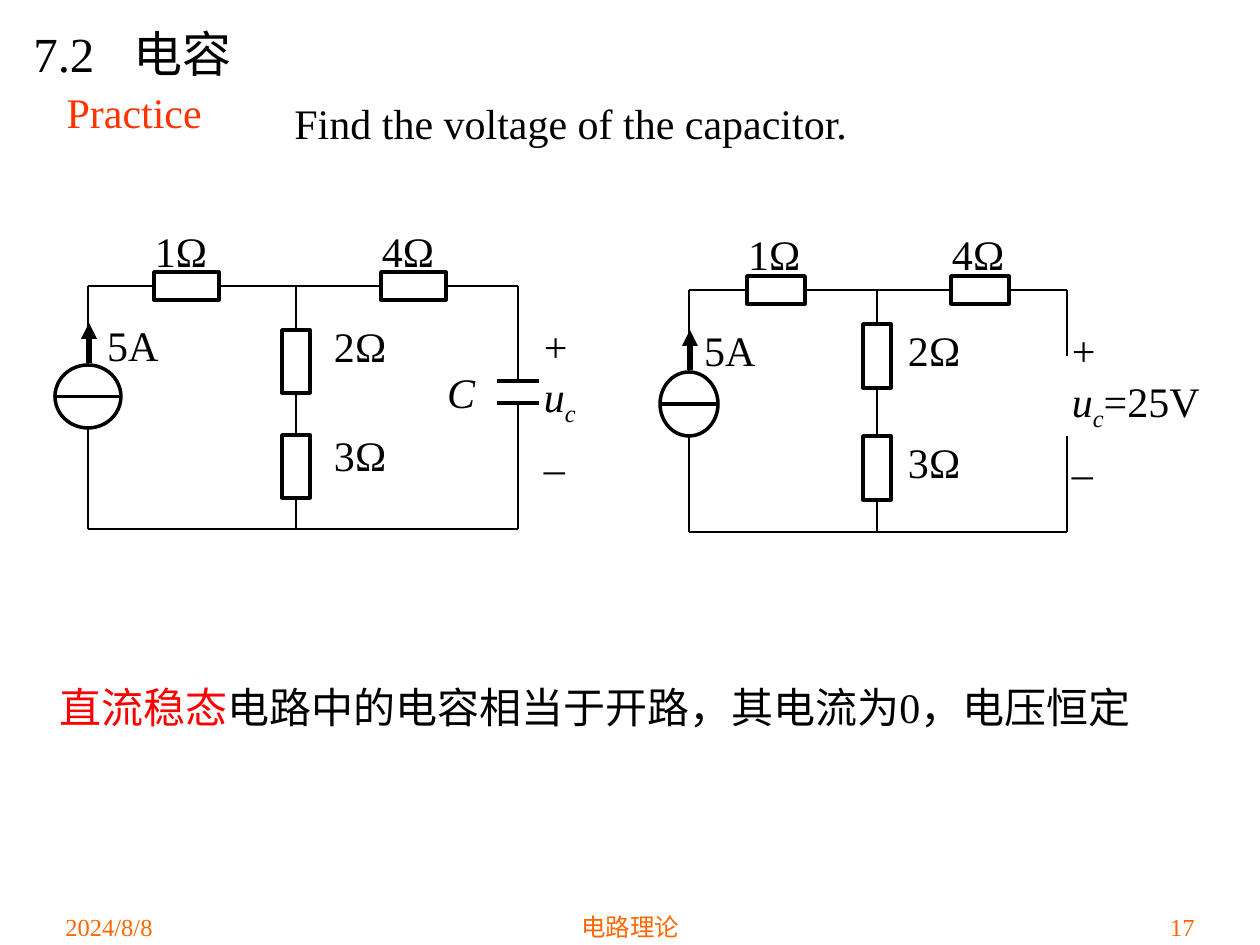
"""Build the capacitor practice slide with its two circuit diagrams."""
from lxml import etree
from pptx import Presentation
from pptx.dml.color import RGBColor
from pptx.enum.shapes import MSO_CONNECTOR, MSO_SHAPE
from pptx.enum.text import MSO_ANCHOR, PP_ALIGN
from pptx.oxml.ns import qn
from pptx.util import Emu, Pt

PX = 914400 / 126
FONT = "Times New Roman"
BLACK = RGBColor(0x00, 0x00, 0x00)
RED = RGBColor(0xFF, 0x00, 0x00)
VERMILION = RGBColor(0xFF, 0x33, 0x00)
ORANGE = RGBColor(0xFF, 0x66, 0x00)
LEFT, CENTER, RIGHT, JUSTIFY = PP_ALIGN.LEFT, PP_ALIGN.CENTER, PP_ALIGN.RIGHT, PP_ALIGN.JUSTIFY
TOP, MIDDLE = MSO_ANCHOR.TOP, MSO_ANCHOR.MIDDLE
STRAIGHT = MSO_CONNECTOR.STRAIGHT
RECTANGLE, OVAL = MSO_SHAPE.RECTANGLE, MSO_SHAPE.OVAL
SIDE_TOP, SIDE_LEFT, SIDE_BOTTOM, SIDE_RIGHT = range(4)
WIRE, OUTLINE, ARROW = 1.5, 2, 3
THICKNESS = 28

PRACTICE = ("Practice", (54, 45, 977, 134))
HEADING = ("7.2\t电容", (21, 16, 1187, 73))
HEADING_TAB = 100
QUESTION = ("Find the voltage of the capacitor.", (282, 91, 738, 63))
CONCLUSION = ([("直流稳态", RED), ("电路中的电容相当于开路，其电流为0，电压恒定", BLACK)],
              (47, 675, 1106, 63))
FOOTERS = [
    ("2024/8/8", (53, 906, 262, 63), LEFT),
    ("电路理论", (431, 906, 399, 63), CENTER),
    ("17", (945, 906, 262, 63), RIGHT),
]
CIRCUITS = [
    {
        "columns": (88, 296, 518), "rows": (286, 529),
        "series_x": (154, 381), "series_width": 65,
        "branch_y": (330, 435), "branch_height": 63,
        "source": (66, 365, 63), "gap": (381, 403), "plate_width": 42,
        "series_label_y": 224, "branch_label_x": 333, "label_y": (319, 428),
        "current_x": 106, "voltage": (543, 319, 49, 156), "value": "",
        "capacitor_label": (446, 365, 33, 47),
    },
    {
        "columns": (689, 877, 1067), "rows": (290, 532),
        "series_x": (747, 951), "series_width": 58,
        "branch_y": (324, 436), "branch_height": 64,
        "source": (58, 372, 64), "gap": (356, 436), "plate_width": 0,
        "series_label_y": 228, "branch_label_x": 907, "label_y": (324, 436),
        "current_x": 703, "voltage": (1071, 324, 166, 160), "value": "=25V",
        "capacitor_label": None,
    },
]
SERIES_LABELS = ("1Ω", "4Ω")
BRANCH_LABELS = ("2Ω", "3Ω")


def px(*lengths):
    return [Emu(round(length * PX)) for length in lengths]


def style(paragraph, size, color, align):
    paragraph.alignment = align
    paragraph.font.name = FONT
    paragraph.font.size = Pt(size)
    paragraph.font.color.rgb = color


def add_text(slide, text, box, size=24, color=BLACK, align=LEFT, anchor=TOP, inset=None):
    frame = slide.shapes.add_textbox(*px(*box)).text_frame
    frame.word_wrap = True
    frame.vertical_anchor = anchor
    if inset is not None:
        frame.margin_left = frame.margin_right = frame.margin_top = frame.margin_bottom = px(inset)[0]
    frame.text = text
    for paragraph in frame.paragraphs:
        style(paragraph, size, color, align)
    return frame


def add_label(slide, text, box):
    return add_text(slide, text, box, align=JUSTIFY, inset=1)


def add_outline(slide, kind, box):
    shape = slide.shapes.add_shape(kind, *px(*box))
    shape.shadow.inherit = False
    shape.fill.background()
    shape.line.color.rgb = BLACK
    shape.line.width = Pt(OUTLINE)
    return shape


def add_line(slide, start, end, width=WIRE, begin=None, finish=None):
    line = slide.shapes.add_connector(STRAIGHT, *px(*start, *end))
    line.line.color.rgb = BLACK
    line.line.width = Pt(width)
    etree.SubElement(line._element.spPr, qn("a:effectLst"))
    if begin:
        line.begin_connect(*begin)
    if finish:
        line.end_connect(*finish)
    return line


def add_chain(slide, points, resistors, entry, leave):
    """Wire both resistors in line between the given pairs of points."""
    first, second = resistors
    begins = (None, (first, leave), (second, leave))
    finishes = ((first, entry), (second, entry), None)
    for (start, end), begin, finish in zip(points, begins, finishes):
        add_line(slide, start, end, begin=begin, finish=finish)


def add_resistors(slide, circuit):
    left, middle, right = circuit["columns"]
    top, bottom = circuit["rows"]
    width, height = circuit["series_width"], circuit["branch_height"]
    half = THICKNESS / 2
    series = [add_outline(slide, RECTANGLE, (x, top - half, width, THICKNESS))
              for x in circuit["series_x"]]
    branch = [add_outline(slide, RECTANGLE, (middle - half, y, THICKNESS, height))
              for y in circuit["branch_y"]]
    (x1, x2), (y1, y2) = circuit["series_x"], circuit["branch_y"]
    across = [(left, x1), (x1 + width, x2), (x2 + width, right)]
    down = [(top, y1), (y1 + height, y2), (y2 + height, bottom)]
    add_chain(slide, [((a, top), (b, top)) for a, b in across], series, SIDE_LEFT, SIDE_RIGHT)
    add_chain(slide, [((middle, a), (middle, b)) for a, b in down], branch, SIDE_TOP, SIDE_BOTTOM)

    for text, x in zip(SERIES_LABELS, circuit["series_x"]):
        add_label(slide, text, (x, circuit["series_label_y"], 108, 47))
    for text, y in zip(BRANCH_LABELS, circuit["label_y"]):
        add_label(slide, text, (circuit["branch_label_x"], y, 108, 47))


def add_source(slide, circuit):
    x = circuit["columns"][0]
    top, bottom = circuit["rows"]
    width, y, height = circuit["source"]
    add_outline(slide, OVAL, (x - width / 2, y, width, height))
    center = y + height / 2
    add_line(slide, (x - width / 2, center), (x + width / 2, center), OUTLINE)
    add_line(slide, (x, top), (x, y))
    add_line(slide, (x, y + height), (x, bottom))
    arrow = add_line(slide, (x + 1, y - 2), (x + 1, y - 42), ARROW)
    etree.SubElement(arrow.line._get_or_add_ln(), qn("a:tailEnd"), type="triangle")
    add_label(slide, "5A", (circuit["current_x"], circuit["label_y"][0], 80, 48))


def add_output(slide, circuit):
    left, _, x = circuit["columns"]
    top, bottom = circuit["rows"]
    upper, lower = circuit["gap"]
    add_line(slide, (x, top), (x, upper))
    add_line(slide, (x, lower), (x, bottom))
    add_line(slide, (left, bottom), (x, bottom))
    if circuit["plate_width"]:
        half = circuit["plate_width"] / 2
        for y in circuit["gap"]:
            add_line(slide, (x - half, y), (x + half, y), OUTLINE)
        frame = add_label(slide, "C", circuit["capacitor_label"])
        frame.paragraphs[0].font.italic = True

    frame = add_label(slide, "+\nu\n_", circuit["voltage"])
    paragraph = frame.paragraphs[1]
    paragraph.runs[0].font.italic = True
    subscript = paragraph.add_run()
    subscript.text = "c"
    subscript.font.italic = True
    subscript.font._element.set("baseline", "-25000")
    if circuit["value"]:
        paragraph.add_run().text = circuit["value"]


def main():
    presentation = Presentation()
    presentation.slide_width, presentation.slide_height = px(1260, 945)
    slide = presentation.slides.add_slide(presentation.slide_layouts[5])

    title = slide.shapes.title
    text, box = PRACTICE
    title.left, title.top, title.width, title.height = px(*box)
    title.text_frame.text = text
    title.text_frame.vertical_anchor = MIDDLE
    style(title.text_frame.paragraphs[0], 24, VERMILION, LEFT)

    heading = add_text(slide, *HEADING, size=28, anchor=MIDDLE)
    properties = heading.paragraphs[0]._p.get_or_add_pPr()
    tabs = etree.Element(qn("a:tabLst"))
    etree.SubElement(tabs, qn("a:tab"), pos=str(px(HEADING_TAB)[0]), algn="l")
    properties.insert(0, tabs)

    add_text(slide, *QUESTION, align=JUSTIFY)
    for circuit in CIRCUITS:
        add_resistors(slide, circuit)
        add_source(slide, circuit)
        add_output(slide, circuit)

    runs, box = CONCLUSION
    paragraph = add_text(slide, "", box).paragraphs[0]
    for text, color in runs:
        run = paragraph.add_run()
        run.text = text
        run.font.color.rgb = color
    for text, box, align in FOOTERS:
        add_text(slide, text, box, 14, ORANGE, align)
    presentation.save("out.pptx")


if __name__ == "__main__":
    main()
